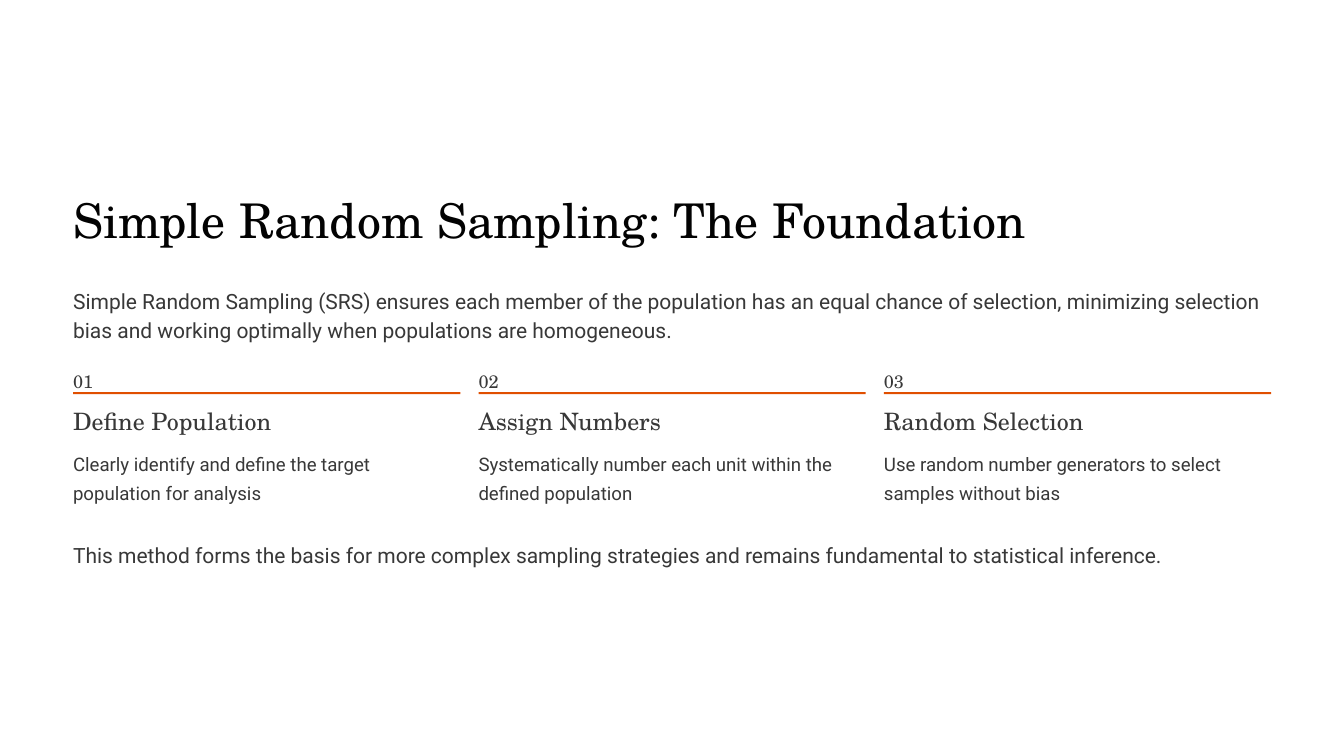
from pptx import Presentation
from pptx import util as u
from pptx.dml.color import RGBColor
from pptx.enum import shapes, text

COLORS = {"title": "020202", "body": "383838", "accent": "E04F00", "background": "FFFFFF"}
SERIF = "TeX Gyre Schola"
SANS = "Roboto"

SLIDE_WIDTH = 40.64
SLIDE_HEIGHT = 22.86
LEFT = 2.21
CONTENT_WIDTH = 36.22
COLUMN_WIDTH = 11.71
COLUMN_GAP = 0.55

STEPS = [
    ("Define Population", "Clearly identify and define the target population for analysis"),
    ("Assign Numbers", "Systematically number each unit within the defined population"),
    ("Random Selection", "Use random number generators to select samples without bias"),
]


def add_text(slide, content, left, top, width, height, *, size, font=SANS,
             color="body", spacing=25):
    box = slide.shapes.add_textbox(u.Cm(left), u.Cm(top), u.Cm(width), u.Cm(height))
    frame = box.text_frame
    frame.margin_left = frame.margin_right = frame.margin_top = frame.margin_bottom = 0
    frame.word_wrap = True
    frame.vertical_anchor = text.MSO_ANCHOR.TOP
    paragraph = frame.paragraphs[0]
    paragraph.alignment = text.PP_ALIGN.LEFT
    paragraph.line_spacing = u.Pt(spacing)
    run = paragraph.add_run()
    run.text = content
    run.font.name = font
    run.font.size = u.Pt(size)
    run.font.color.rgb = RGBColor.from_string(COLORS[color])


def add_rectangle(slide, left, top, width, height, color):
    shape = slide.shapes.add_shape(shapes.MSO_SHAPE.RECTANGLE,
                                   u.Cm(left), u.Cm(top), u.Cm(width), u.Cm(height))
    shape.shadow.inherit = False
    shape.fill.solid()
    shape.fill.fore_color.rgb = RGBColor.from_string(COLORS[color])
    shape.line.fill.background()


def add_step(slide, index, heading, description):
    """Add one numbered column with its accent rule."""
    left = LEFT + index * (COLUMN_WIDTH + COLUMN_GAP)
    add_text(slide, f"{index + 1:02d}", left, 10.97, 0.8, 0.69, size=15.5, font=SERIF)
    add_rectangle(slide, left, 11.86, COLUMN_WIDTH, 0.06, "accent")
    add_text(slide, heading, left, 12.27, 7.24, 0.91, size=20.5, font=SERIF, spacing=25.5)
    add_text(slide, description, left, 13.49, COLUMN_WIDTH, 1.75, size=16)


def main():
    presentation = Presentation()
    presentation.slide_width = u.Cm(SLIDE_WIDTH)
    presentation.slide_height = u.Cm(SLIDE_HEIGHT)
    slide = presentation.slides.add_slide(presentation.slide_layouts[6])

    add_rectangle(slide, 0, 0, SLIDE_WIDTH, SLIDE_HEIGHT, "background")
    add_text(slide, "Simple Random Sampling: The Foundation", LEFT, 5.69, 30, 1.8,
             size=41, font=SERIF, color="title", spacing=51)
    add_text(slide, "Simple Random Sampling (SRS) ensures each member of the population has "
             "an equal chance of selection, minimizing selection bias and working optimally "
             "when populations are homogeneous.",
             LEFT, 8.61, CONTENT_WIDTH, 1.75, size=18)
    for index, (heading, description) in enumerate(STEPS):
        add_step(slide, index, heading, description)
    add_text(slide, "This method forms the basis for more complex sampling strategies and "
             "remains fundamental to statistical inference.",
             LEFT, 16.28, CONTENT_WIDTH, 0.89, size=18)

    presentation.save("out.pptx")


if __name__ == "__main__":
    main()
